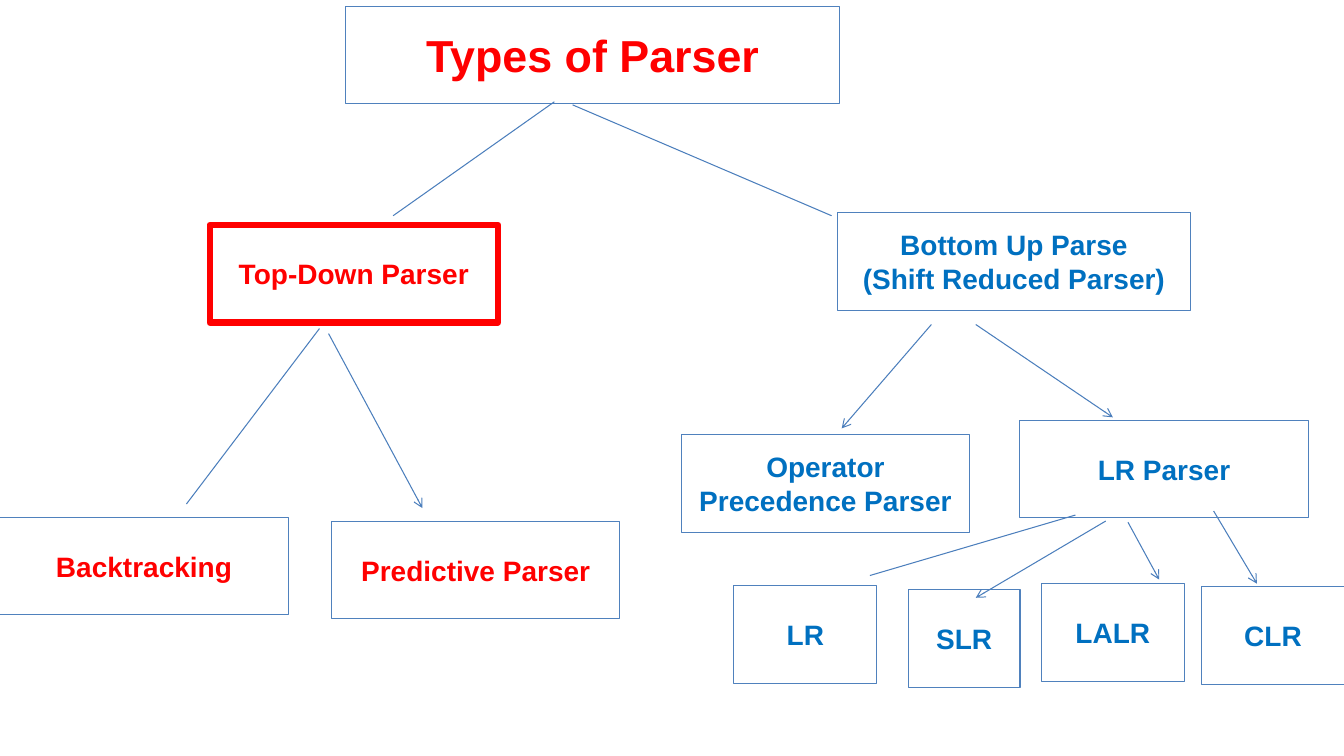
from pptx import Presentation
from pptx.dml.color import RGBColor
from pptx.enum.shapes import MSO_CONNECTOR, MSO_SHAPE
from pptx.enum.text import MSO_ANCHOR, MSO_AUTO_SIZE, PP_ALIGN
from pptx.oxml.ns import qn
from pptx.util import Pt
from lxml.etree import SubElement

# Content
COLORS = {"red": "FF0000", "blue": "0070C0", "border": "4F81BD", "link": "4B7EBC"}
BOX_HEIGHT = 69.8
WIDE, NARROW = 205.9, 102.2

TITLE = ("Types of Parser", 247, 4.3, 352.8)

# Text, left, top, width, text colour
BOXES = [
    ("Top-Down Parser", 149.8, 160.6, WIDE, "red"),
    ("Bottom Up Parse\n(Shift Reduced Parser)", 598.3, 151.9, 252, "blue"),
    ("Backtracking", 0, 369.4, WIDE, "red"),
    ("Predictive Parser", 236.9, 372.2, WIDE, "red"),
    ("Operator Precedence Parser", 486.7, 310.3, WIDE, "blue"),
    ("LR Parser", 728.6, 300.2, WIDE, "blue"),
    ("LR", 524.2, 418.3, NARROW, "blue"),
    ("SLR", 648.7, 421.2, 79.9, "blue"),
    ("LALR", 743.8, 416.9, NARROW, "blue"),
    ("CLR", 858.2, 419, NARROW, "blue"),
]
HIGHLIGHTED = "Top-Down Parser"

# Start x, start y, end x, end y
PLAIN_LINKS = [
    (396, 72.7, 280.8, 154.1),
    (409, 74.9, 594, 154.1),
    (228.2, 234.7, 133.2, 360),
    (768.2, 367.9, 621.4, 411.1),
]
ARROW_LINKS = [
    (234.7, 238.3, 301.7, 362.9),
    (665.3, 231.8, 601.2, 306),
    (697, 231.8, 794.9, 298.1),
    (789.8, 372.2, 697, 427),
    (805.7, 373, 828, 414),
    (866.9, 365, 897.8, 416.9),
]


def rgb(name):
    return RGBColor.from_string(COLORS[name])


def write_text(box, text, size=20, color="blue", bold=True, font="Arial"):
    frame = box.text_frame
    frame.word_wrap = True
    frame.auto_size = MSO_AUTO_SIZE.NONE
    frame.vertical_anchor = MSO_ANCHOR.MIDDLE
    frame.text = text
    for para in frame.paragraphs:
        para.alignment = PP_ALIGN.CENTER
        for span in para.runs:
            span.font.name = font
            span.font.size = Pt(size)
            span.font.bold = bold
            span.font.color.rgb = rgb(color)


def outline(box, color="border", width=0.75):
    box.fill.background()
    box.line.color.rgb = rgb(color)
    box.line.width = Pt(width)


def add_link(slide, ends, arrow):
    link = slide.shapes.add_connector(MSO_CONNECTOR.STRAIGHT, *map(Pt, ends))
    link.line.color.rgb = rgb("link")
    link.line.width = Pt(0.75)
    properties = link._element.spPr
    if arrow:
        SubElement(properties.find(qn("a:ln")), qn("a:tailEnd"), type="arrow")
    SubElement(properties, qn("a:effectLst"))


def main():
    deck = Presentation()
    deck.slide_width, deck.slide_height = Pt(960), Pt(540)
    slide = deck.slides.add_slide(deck.slide_layouts[5])

    # Root of the tree
    text, left, top, width = TITLE
    title = slide.shapes.title
    title.left, title.top = Pt(left), Pt(top)
    title.width, title.height = Pt(width), Pt(BOX_HEIGHT)
    outline(title)
    write_text(title, text, size=32, color="red")

    # Parser boxes
    for text, left, top, width, color in BOXES:
        box = slide.shapes.add_shape(
            MSO_SHAPE.RECTANGLE, Pt(left), Pt(top), Pt(width), Pt(BOX_HEIGHT))
        box.shadow.inherit = False
        if text == HIGHLIGHTED:
            outline(box, color="red", width=4.5)
        else:
            outline(box)
        write_text(box, text, color=color)

    # Branches
    for links, arrow in ((PLAIN_LINKS, False), (ARROW_LINKS, True)):
        for ends in links:
            add_link(slide, ends, arrow)

    deck.save("out.pptx")


if __name__ == "__main__":
    main()
